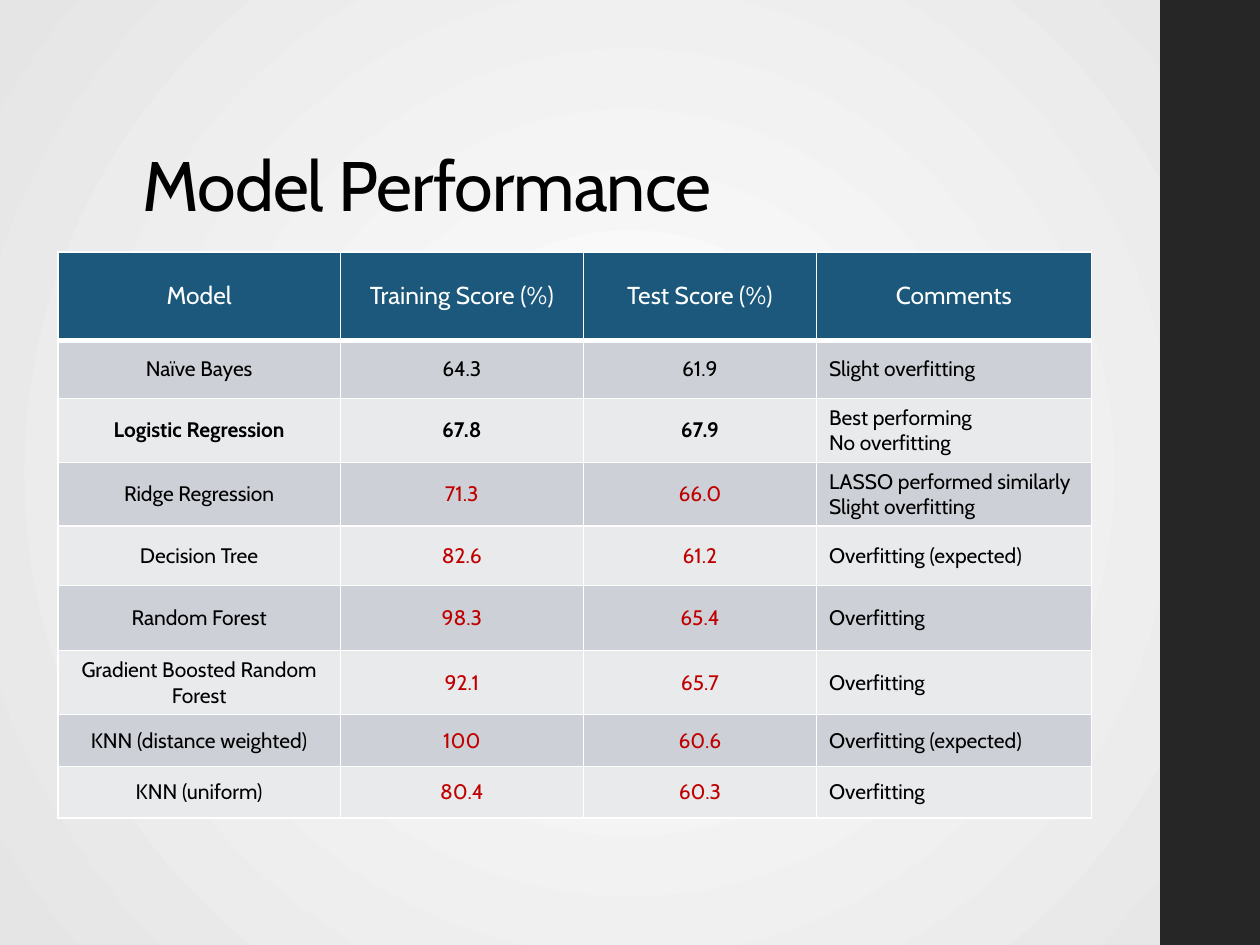
from lxml.etree import SubElement
from pptx import Presentation
from pptx.dml.color import RGBColor
from pptx.enum.shapes import MSO_SHAPE as Shape
from pptx.enum.text import MSO_ANCHOR as Anchor, MSO_AUTO_SIZE as AutoSize, PP_ALIGN as Align
from pptx.oxml.ns import qn
from pptx.util import Cm, Pt

FONT = "Cabin"
BLACK, WHITE, RED = "000000", "FFFFFF", "C00000"
HEADER_FILL = "1B587C"
BAND_FILLS = ("CDD1D7", "E8EAEC")

COLUMN_WIDTHS = (5.69, 4.9, 4.7, 5.54)
ROW_HEIGHTS = (1.78, 1.17, 1.22, 1.24, 1.19, 1.32, 0.91, 1.04, 1.04)
HEADINGS = ("Model", "Training Score (%)", "Test Score (%)", "Comments")
RESULTS = (
    ("Naïve Bayes", "64.3", "61.9", "Slight overfitting"),
    ("Logistic Regression", "67.8", "67.9", "Best performing\nNo overfitting"),
    ("Ridge Regression", "71.3", "66.0", "LASSO performed similarly Slight overfitting"),
    ("Decision Tree", "82.6", "61.2", "Overfitting (expected)"),
    ("Random Forest", "98.3", "65.4", "Overfitting"),
    ("Gradient Boosted Random Forest", "92.1", "65.7", "Overfitting"),
    ("KNN (distance weighted)", "100", "60.6", "Overfitting (expected)"),
    ("KNN (uniform)", "80.4", "60.3", "Overfitting"),
)
BEST_ROW = 2
FIRST_OVERFIT_ROW = 3
COMMENTS = 3


def rgb(hex_colour):
    """Turn a hex string into a colour."""
    return RGBColor.from_string(hex_colour)


def set_attributes(target, values):
    """Set each named attribute of the target."""
    for name, value in values.items():
        setattr(target, name, value)


def format_paragraph(paragraph, size, colour, align, bold=False):
    """Align a paragraph and style its runs."""
    paragraph.alignment = align
    for run in paragraph.runs:
        set_attributes(run.font, {"name": FONT, "size": Pt(size), "bold": bold})
        run.font.color.rgb = rgb(colour)


def paint_background(slide):
    """Fill the background with a gradient that spreads from the centre."""
    fill = slide.background.fill
    fill.gradient()
    for stop, position, colour in zip(fill.gradient_stops, (0, 1), (WHITE, "E5E5E5")):
        stop.position = position
        stop.color.rgb = rgb(colour)
    linear = slide.element.find(".//" + qn("a:lin"))
    gradient = linear.getparent()
    gradient.remove(linear)
    circle = SubElement(gradient, qn("a:path"), {"path": "circle"})
    SubElement(circle, qn("a:fillToRect"), {side: "50000" for side in "ltrb"})


def add_sidebar(slide):
    """Draw the dark band on the right."""
    sidebar = slide.shapes.add_shape(Shape.RECTANGLE, Cm(23.39), 0, Cm(2.01), Cm(19.05))
    sidebar.shadow.inherit = False
    sidebar.fill.solid()
    sidebar.fill.fore_color.rgb = rgb("262626")
    sidebar.line.fill.background()


def set_title(slide, text):
    """Place and style the slide title."""
    title = slide.shapes.title
    set_attributes(title, {"left": Cm(2.62), "top": Cm(1.02),
                           "width": Cm(20.19), "height": Cm(3.68)})
    frame = title.text_frame
    frame.text = text
    set_attributes(frame, {"vertical_anchor": Anchor.BOTTOM, "word_wrap": True,
                           "auto_size": AutoSize.NONE})
    heading = frame.paragraphs[0]
    heading.line_spacing = 0.9
    format_paragraph(heading, 40, BLACK, Align.LEFT)
    heading.runs[0].font._element.set("spc", "-50")


def set_borders(cell, top, bottom):
    """Give a cell white borders, with top and bottom widths in points."""
    properties = cell._tc.get_or_add_tcPr()
    for side, width in {"L": 1, "R": 1, "T": top, "B": bottom}.items():
        border = SubElement(properties, qn(f"a:ln{side}"), {"w": str(Pt(width))})
        colour = SubElement(border, qn("a:solidFill"))
        SubElement(colour, qn("a:srgbClr"), {"val": WHITE})


def fill_cell(cell, text, row, column):
    """Write a cell and style it by its place in the table."""
    is_header = row == 0
    is_comment = column == COMMENTS
    is_score = column in (1, 2)
    colour = WHITE if is_header else RED if is_score and row >= FIRST_OVERFIT_ROW else BLACK
    align = Align.LEFT if is_comment and not is_header else Align.CENTER
    set_borders(cell, top=3 if row == 1 else 1, bottom=3 if is_header else 1)
    cell.fill.solid()
    cell.fill.fore_color.rgb = rgb(HEADER_FILL if is_header else BAND_FILLS[(row - 1) % 2])
    cell.vertical_anchor = Anchor.MIDDLE
    cell.text = text
    for paragraph in cell.text_frame.paragraphs:
        format_paragraph(paragraph, 14 if is_header else 12, colour, align,
                         bold=row == BEST_ROW and not is_comment)


def add_results_table(slide):
    """Add the table of model scores."""
    rows = (HEADINGS,) + RESULTS
    table = slide.shapes.add_table(len(rows), len(HEADINGS), Cm(1.17), Cm(5.08),
                                   Cm(sum(COLUMN_WIDTHS)), Cm(sum(ROW_HEIGHTS))).table
    set_attributes(table, {"first_row": False, "horz_banding": False})
    for column, width in zip(table.columns, COLUMN_WIDTHS):
        column.width = Cm(width)
    for row, height in zip(table.rows, ROW_HEIGHTS):
        row.height = Cm(height)
    for r, texts in enumerate(rows):
        for c, text in enumerate(texts):
            fill_cell(table.cell(r, c), text, r, c)


def main():
    """Build the slide and save it."""
    deck = Presentation()
    set_attributes(deck, {"slide_width": Cm(25.4), "slide_height": Cm(19.05)})
    slide = deck.slides.add_slide(deck.slide_layouts[5])
    paint_background(slide)
    add_sidebar(slide)
    set_title(slide, "Model Performance")
    add_results_table(slide)
    deck.save("out.pptx")


main()
